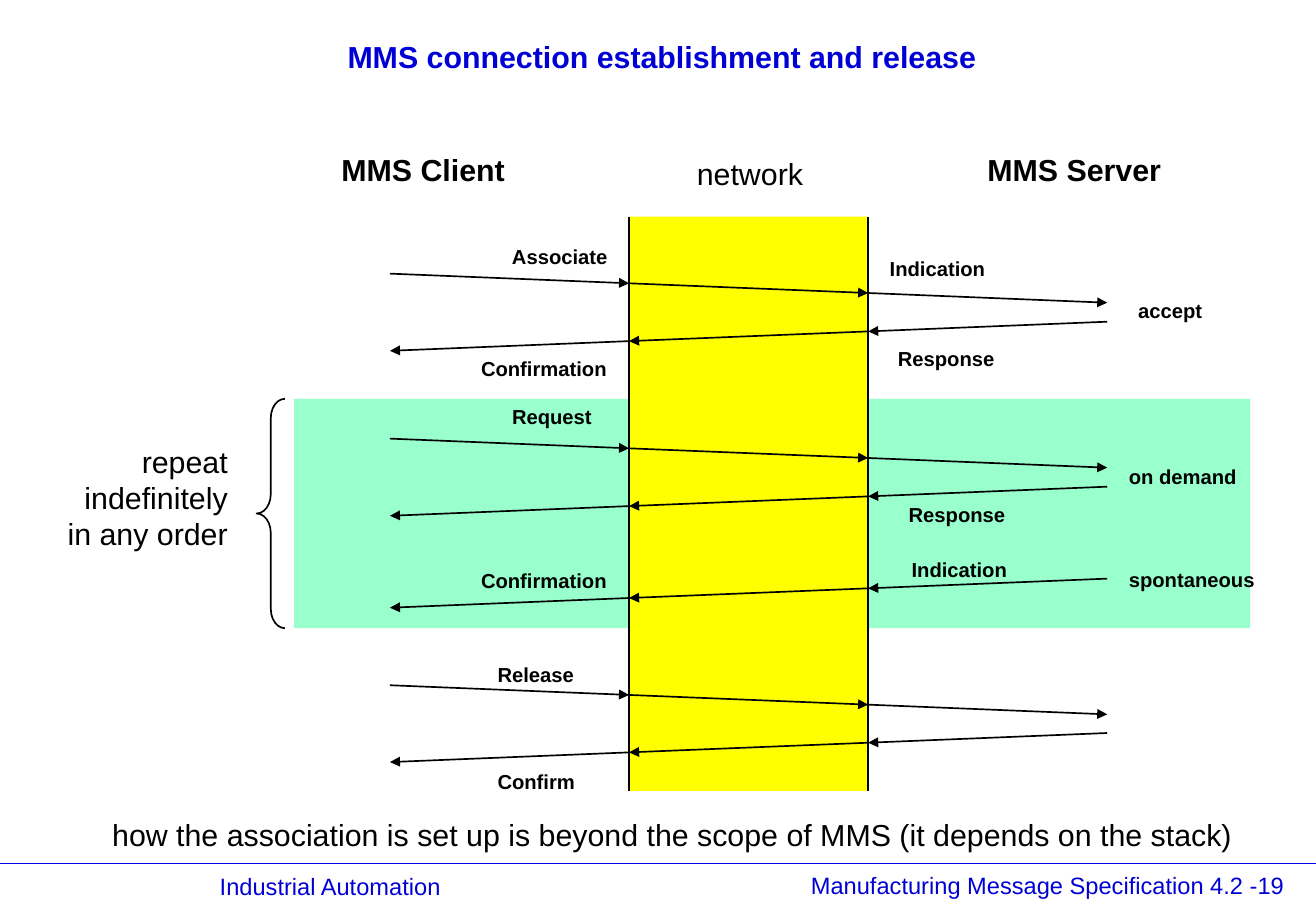
"""Build the slide on MMS connection establishment and release."""
from dataclasses import dataclass

from lxml import etree
from pptx import Presentation
from pptx.dml.color import RGBColor
from pptx.enum import shapes, text
from pptx.oxml import ns
from pptx.util import Pt


@dataclass(frozen=True)
class Theme:
    font: str = "Arial"
    ink: str = "000000"
    heading: str = "0000D4"
    footer_rule: str = "0000E0"
    network: str = "FFFF00"
    repeat: str = "99FFCC"
    large: int = 18
    footer: int = 14
    label: int = 12
    rule: int = 1


THEME = Theme()
SLIDE_W, SLIDE_H = 780.48, 540

TITLE = "MMS connection establishment and release"
FOOTERS = [
    ("Industrial Automation", 15, 516.2, 253.5, 20),
    ("Manufacturing Message Specification 4.2 -19", 420.5, 517, 348.5, 18),
]
FOOTER_RULE_Y = 511.9

LANE_X, LANE_STEP = 231.3, 141.8
LANES = [LANE_X + i * LANE_STEP for i in range(4)]
HOP_DROP = 5.75
NETWORK_TOP, NETWORK_H = 128.4, 340.4
REPEAT_TOP, REPEAT_H = 236.4, 136

TO_SERVER, TO_CLIENT = 1, -1
MESSAGES = [
    (TO_SERVER, 162.2),
    (TO_CLIENT, 190.7),
    (TO_SERVER, 260),
    (TO_CLIENT, 288.5),
    (TO_CLIENT, 343),
    (TO_SERVER, 406.2),
    (TO_CLIENT, 434.5),
]

LABELS = [
    ("Associate", 296.6, 141, 72),
    ("Confirmation", 278.2, 207.8, 90),
    ("Request", 296.6, 236.3, 63),
    ("Confirmation", 278.2, 333.6, 90),
    ("Release", 288, 389, 61),
    ("Confirm", 288, 452.7, 61.5),
    ("Indication", 520.6, 148.4, 72),
    ("Response", 525.4, 202, 73),
    ("Response", 531.8, 294.2, 73),
    ("Indication", 533.6, 326.9, 72),
    ("accept", 667.9, 173.4, 53.6),
    ("on demand", 662.4, 271.4, 79.5),
    ("spontaneous", 662.4, 332.6, 90),
]
HEADINGS = [
    ("MMS Client", 195.4, 86.2, 112.6, True),
    ("network", 406.2, 88.6, 80, False),
    ("MMS Server", 578.5, 86.2, 118.4, True),
    ("how the association is set up is beyond the scope of MMS "
     "(it depends on the stack)", 59.4, 480, 682, False),
]
REPEAT_NOTE = "repeat indefinitely\nin any order"


def rgb(color):
    return RGBColor.from_string(color)


def add_text(slide, words, x, y, w, h, size, color=THEME.ink, bold=False,
             align=text.PP_ALIGN.LEFT, wrap=False, spacing=None):
    box = slide.shapes.add_textbox(Pt(x), Pt(y), Pt(w), Pt(h))
    frame = box.text_frame
    frame.text = words
    frame.word_wrap = wrap
    if spacing:
        frame.vertical_anchor = text.MSO_ANCHOR.MIDDLE
    else:
        frame.auto_size = text.MSO_AUTO_SIZE.SHAPE_TO_FIT_TEXT
    for paragraph in frame.paragraphs:
        paragraph.alignment = align
        if spacing:
            paragraph.line_spacing = spacing
        for run in paragraph.runs:
            run.font.name = THEME.font
            run.font.size = Pt(size)
            run.font.bold = bold
            run.font.color.rgb = rgb(color)


def add_band(slide, x, y, w, h, color):
    band = slide.shapes.add_shape(
        shapes.MSO_SHAPE.RECTANGLE, Pt(x), Pt(y), Pt(w), Pt(h))
    band.shadow.inherit = False
    band.fill.solid()
    band.fill.fore_color.rgb = rgb(color)
    band.line.fill.background()


def add_line(slide, x1, y1, x2, y2, color=THEME.ink, arrow=False):
    line = slide.shapes.add_connector(
        shapes.MSO_CONNECTOR.STRAIGHT, Pt(x1), Pt(y1), Pt(x2), Pt(y2))
    line.line.color.rgb = rgb(color)
    line.line.width = Pt(THEME.rule)
    if arrow:
        etree.SubElement(line.line._get_or_add_ln(), ns.qn("a:tailEnd"), type="triangle")
    etree.SubElement(line._element.spPr, ns.qn("a:effectLst"))


def add_message(slide, direction, y):
    stops = LANES[::direction]
    for hop, (start, end) in enumerate(zip(stops, stops[1:])):
        top = y + hop * HOP_DROP
        add_line(slide, start, top, end, top + HOP_DROP, arrow=True)


def add_repeat_brace(slide):
    brace = slide.shapes.add_shape(
        shapes.MSO_SHAPE.LEFT_BRACE, Pt(152.2), Pt(REPEAT_TOP), Pt(16.8), Pt(REPEAT_H))
    brace.shadow.inherit = False
    brace.adjustments[0] = 0.68
    brace.fill.background()
    brace.line.color.rgb = rgb(THEME.ink)
    brace.line.width = Pt(THEME.rule)


def main():
    deck = Presentation()
    deck.slide_width, deck.slide_height = Pt(SLIDE_W), Pt(SLIDE_H)
    slide = deck.slides.add_slide(deck.slide_layouts[6])

    for words, x, y, w, h in FOOTERS:
        add_text(slide, words, x, y, w, h, THEME.footer, THEME.heading,
                 align=text.PP_ALIGN.RIGHT, wrap=True, spacing=0.87)
    add_line(slide, 0, FOOTER_RULE_Y, SLIDE_W, FOOTER_RULE_Y, THEME.footer_rule)
    add_text(slide, TITLE, 15.8, 15.1, 753.8, 40.3, THEME.large, THEME.heading,
             True, text.PP_ALIGN.CENTER, wrap=True, spacing=0.87)

    add_band(slide, 174.5, REPEAT_TOP, 567, REPEAT_H, THEME.repeat)
    add_band(slide, LANES[1], NETWORK_TOP, LANE_STEP, NETWORK_H, THEME.network)
    for x in LANES[1:3]:
        add_line(slide, x, NETWORK_TOP, x, NETWORK_TOP + NETWORK_H)

    for direction, y in MESSAGES:
        add_message(slide, direction, y)
    for words, x, y, w in LABELS:
        add_text(slide, words, x, y, w, 21.6, THEME.label, bold=True)
    for words, x, y, w, bold in HEADINGS:
        add_text(slide, words, x, y, w, 29, THEME.large, bold=bold)

    add_repeat_brace(slide)
    add_text(slide, REPEAT_NOTE, 32.6, 258.9, 109.6, 72, THEME.large,
             align=text.PP_ALIGN.RIGHT, wrap=True)
    deck.save("out.pptx")


if __name__ == "__main__":
    main()
